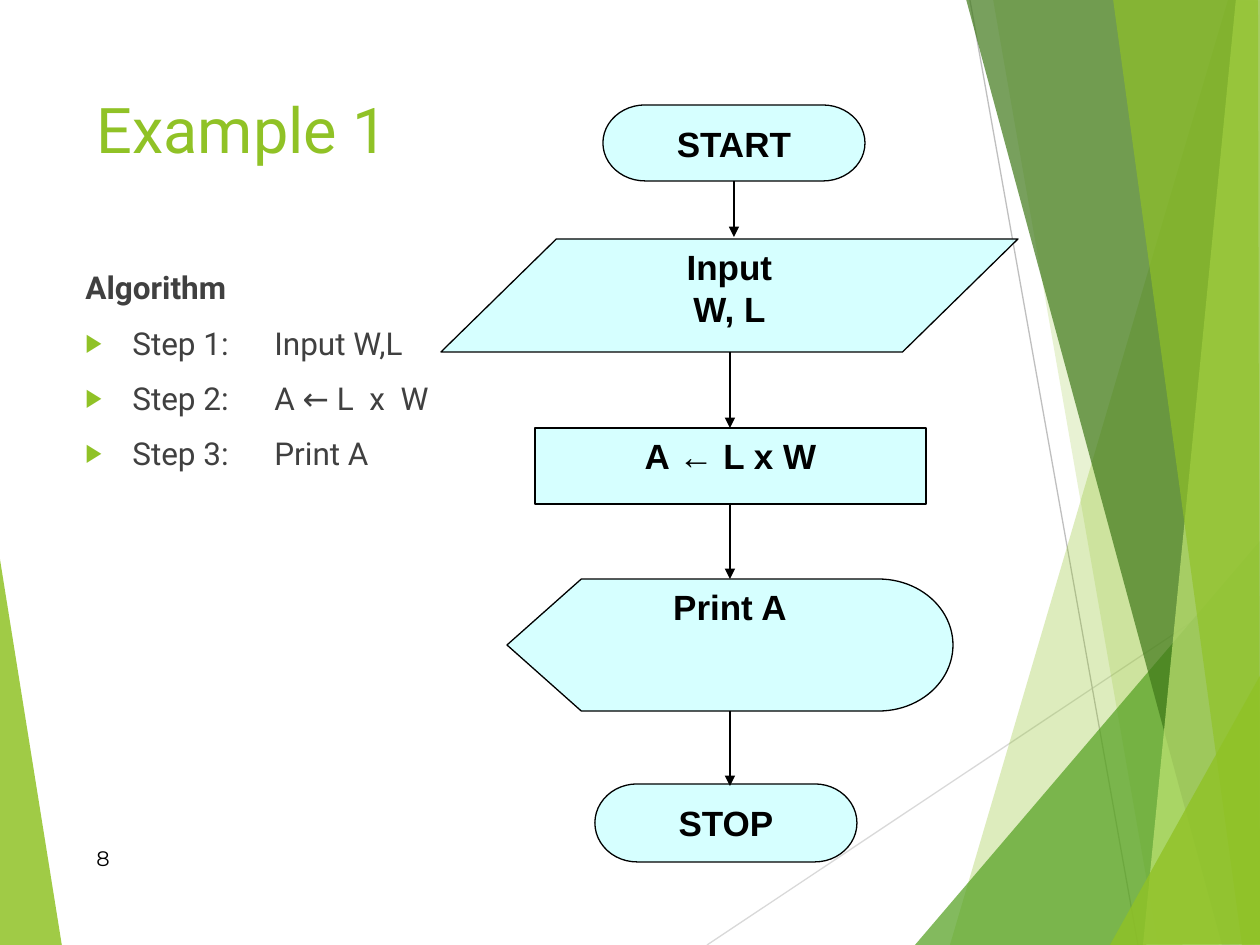
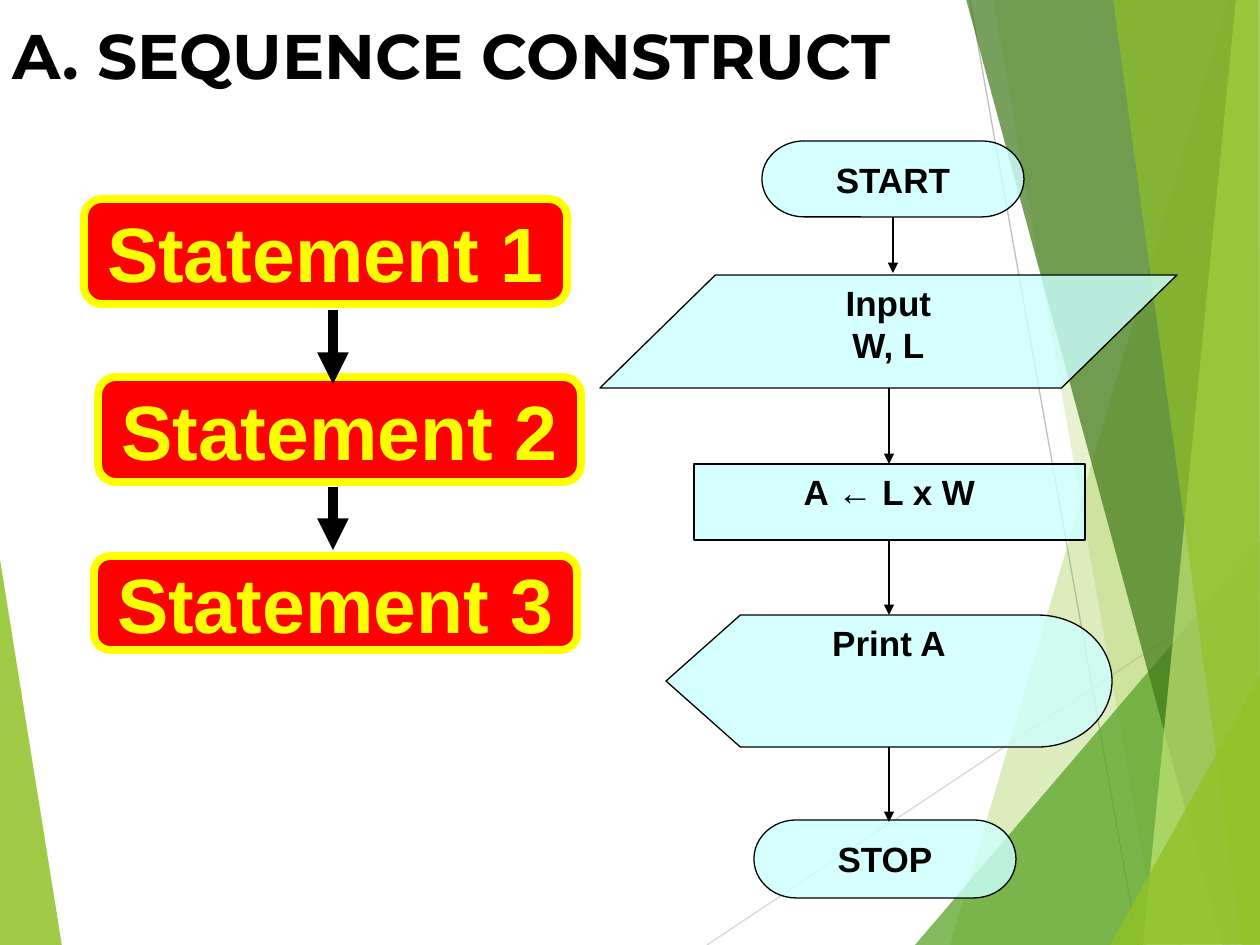
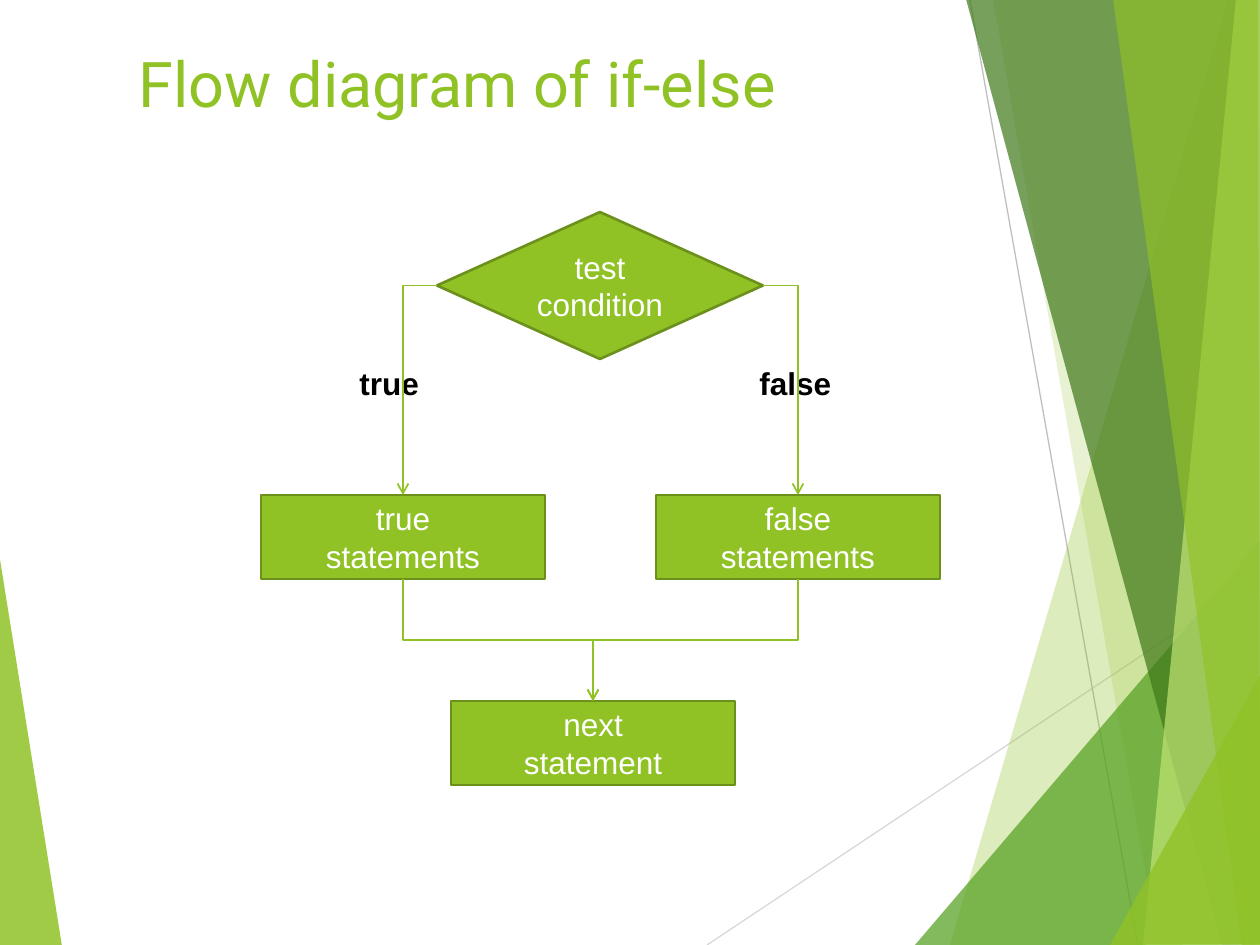
from lxml.etree import SubElement
from pptx import Presentation
from pptx.dml.color import RGBColor
from pptx.enum.shapes import MSO_CONNECTOR as LINK, MSO_SHAPE as SHAPE
from pptx.enum.text import MSO_ANCHOR as ANCHOR, MSO_AUTO_SIZE, PP_ALIGN as ALIGN
from pptx.oxml.ns import qn
from pptx.util import Emu, Pt

PX = 914400 / 126
WIDTH, HEIGHT = 1260, 945

BLACK = RGBColor(0x00, 0x00, 0x00)
WHITE = RGBColor(0xFF, 0xFF, 0xFF)
GREY = RGBColor(0x40, 0x40, 0x40)
SILVER = RGBColor(0xBF, 0xBF, 0xBF)
PALE_GREY = RGBColor(0xD9, 0xD9, 0xD9)
LIME = RGBColor(0x90, 0xC2, 0x26)
LIGHT_LIME = RGBColor(0xC0, 0xE4, 0x74)
OLIVE = RGBColor(0x6B, 0x90, 0x1C)
GREEN = RGBColor(0x54, 0xA0, 0x21)
DARK_GREEN = RGBColor(0x3F, 0x78, 0x19)
CYAN = RGBColor(0xCC, 0xFF, 0xFF)
RED = RGBColor(0xFF, 0x00, 0x00)
YELLOW = RGBColor(0xFF, 0xFF, 0x00)


def font_format(name, size, color, bold=False):
    return {"name": name, "size": Pt(size), "bold": bold, "color": color}


TITLE = font_format("Roboto", 36, LIME)
HEAVY_TITLE = font_format("Montserrat", 36, BLACK, True)
BODY = font_format("Roboto", 18, GREY)
BODY_HEAD = font_format("Roboto", 18, GREY, True)
NUMBER = font_format("Montserrat", 12, BLACK)
FLOW = font_format("Arial", 20, BLACK, True)
STATEMENT = font_format("Arial", 44, YELLOW, True)
BRANCH = font_format("Arial", 18, WHITE)
BRANCH_LABEL = font_format("Arial", 18, BLACK, True)

FLOW_BOX = {"fill": CYAN, "alpha": 80, "line": BLACK, "width": 0.75, "fmt": FLOW}
STATEMENT_BOX = {"fill": RED, "line": YELLOW, "width": 4.5, "fmt": STATEMENT,
                 "anchor": ANCHOR.MIDDLE, "wrap": False}
BRANCH_BOX = {"fill": LIME, "line": OLIVE, "width": 1.5, "fmt": BRANCH,
              "anchor": ANCHOR.MIDDLE}

# Polygons of the backdrop: colour, opacity in percent, corners
FACETS = [
    (LIME, 85, [(-1, 553), (62, 946), (-1, 945)]),
    (LIME, 30, [(1228, 0), (950, 945), (1262, 946), (1261, 1)]),
    (LIME, 20, [(993, -1), (1158, 945), (1261, 945), (1261, -1)]),
    (GREEN, 72, [(915, 945), (1260, 541), (1261, 945)]),
    (DARK_GREEN, 70, [(966, -1), (1222, 945), (1261, 944), (1261, -1)]),
    (LIGHT_LIME, 70, [(1236, -1), (1143, 945), (1261, 945), (1260, -1)]),
    (LIME, 65, [(1113, -1), (1242, 945), (1260, 945), (1258, -1)]),
    (LIME, 80, [(1110, 945), (1261, 674), (1261, 944)]),
]


def px(*lengths):
    return [Emu(round(n * PX)) for n in lengths]


def write(p, text, fmt):
    """Write text as runs; an assignment arrow is never bold."""
    for part in text.partition("←"):
        if not part:
            continue
        r = p.add_run()
        r.text = part
        for key, value in fmt.items():
            if key == "color":
                r.font.color.rgb = value
            else:
                setattr(r.font, key, value)
        if part == "←":
            r.font.bold = False


def set_frame(tf, anchor=ANCHOR.TOP, wrap=True):
    values = {"auto_size": MSO_AUTO_SIZE.NONE, "vertical_anchor": anchor, "word_wrap": wrap}
    for key, value in values.items():
        setattr(tf, key, value)


def fill_shape(sp, color, alpha=100):
    sp.shadow.inherit = False
    sp.fill.solid()
    sp.fill.fore_color.rgb = color
    if alpha < 100:
        rgb = sp.element.spPr.find(qn("a:solidFill")).find(qn("a:srgbClr"))
        SubElement(rgb, qn("a:alpha"), val=str(alpha * 1000))


def add_box(shapes, kind, box, text, fill, line, width, fmt,
            alpha=100, anchor=ANCHOR.TOP, wrap=True):
    sp = shapes.add_shape(kind, *px(*box))
    fill_shape(sp, fill, alpha)
    sp.line.color.rgb = line
    sp.line.width = Pt(width)
    set_frame(sp.text_frame, anchor, wrap)
    for i, row in enumerate(text.split("\n")):
        p = sp.text_frame.add_paragraph() if i else sp.text_frame.paragraphs[0]
        p.alignment = ALIGN.CENTER
        write(p, row, fmt)
    return sp


def add_text(shapes, box, text, fmt, anchor=ANCHOR.TOP):
    tf = shapes.add_textbox(*px(*box)).text_frame
    set_frame(tf, anchor)
    write(tf.paragraphs[0], text, fmt)


def add_line(shapes, ends, color=BLACK, width=0.75, head=None, kind=LINK.STRAIGHT):
    c = shapes.add_connector(kind, *px(*ends))
    c.line.color.rgb = color
    c.line.width = Pt(width)
    sp_pr = c.element.spPr
    if head:
        SubElement(sp_pr.find(qn("a:ln")), qn("a:tailEnd"), type=head)
    SubElement(sp_pr, qn("a:effectLst"))
    return c


def add_corner(shapes, ends):
    """Arrow that runs sideways, then down."""
    c = add_line(shapes, ends, LIME, 1, "arrow", LINK.ELBOW)
    c.element.spPr.find(qn("a:prstGeom")).set("prst", "bentConnector2")


def add_merge(shapes, x1, y1, x2, y2):
    """Arrow that runs down, sideways and down again."""
    cx, cy = (x1 + x2) / 2, (y1 + y2) / 2
    half_w, half_h = (y2 - y1) / 2, abs(x2 - x1) / 2
    if x1 < x2:
        half_w = -half_w
    ends = cx - half_w, cy - half_h, cx + half_w, cy + half_h
    c = add_line(shapes, ends, LIME, 1, "arrow", LINK.ELBOW)
    angle = 270 if x1 < x2 else 90
    c.element.spPr.find(qn("a:xfrm")).set("rot", str(angle * 60000))


def build_backdrop(s, layout):
    """Draw the facets once and hand them to the layout."""
    for ph in list(layout.placeholders):
        if ph.placeholder_format.idx:
            layout.shapes.element.remove(ph.element)
    group = s.shapes.add_group_shape()
    for i, (color, alpha, corners) in enumerate(FACETS):
        outline = group.shapes.build_freeform(*corners[0], scale=PX)
        outline.add_line_segments(corners[1:], close=True)
        sp = outline.convert_to_shape()
        fill_shape(sp, color, alpha)
        sp.line.fill.background()
        if i == 0:
            add_line(group.shapes, (707, 945, 1261, 576), PALE_GREY)
            add_line(group.shapes, (970, 0, 1138, 945), SILVER)
    layout.shapes.element.insert(2, group.element)


def set_title(s, box, text, fmt):
    title = s.shapes.title
    for key, value in zip(("left", "top", "width", "height"), px(*box)):
        setattr(title, key, value)
    set_frame(title.text_frame)
    p = title.text_frame.paragraphs[0]
    p.alignment = ALIGN.LEFT
    write(p, text, fmt)


def build_algorithm(s, box, heading, steps):
    tf = s.shapes.add_textbox(*px(*box)).text_frame
    set_frame(tf)
    write(tf.paragraphs[0], heading, BODY_HEAD)
    indent, tab = px(47, 63)
    for step in steps:
        p = tf.add_paragraph()
        p.space_before = Pt(10)
        write(p, step, BODY)
        p_pr = p._p.get_or_add_pPr()
        for key, value in {"marL": indent, "indent": -indent, "defTabSz": tab}.items():
            p_pr.set(key, str(int(value)))
        SubElement(SubElement(p_pr, qn("a:buClr")), qn("a:srgbClr"), val=str(LIME))
        SubElement(p_pr, qn("a:buSzPct"), val="80000")
        SubElement(p_pr, qn("a:buFont"), typeface="Arial")
        SubElement(p_pr, qn("a:buChar"), char="▶")


def build_area_flow(s, x, y):
    """Flowchart of the rectangle area, with its top left corner at x, y."""
    for kind, dx, dy, w, h, text in [
        (SHAPE.FLOWCHART_TERMINATOR, 162, 0, 262, 76, "START"),
        (SHAPE.FLOWCHART_DATA, 0, 134, 577, 113, "Input\nW, L"),
        (SHAPE.FLOWCHART_PROCESS, 94, 323, 391, 76, "A ← L x W"),
        (SHAPE.FLOWCHART_DISPLAY, 66, 474, 446, 132, "Print A"),
        (SHAPE.FLOWCHART_TERMINATOR, 154, 679, 262, 78, "STOP"),
    ]:
        add_box(s.shapes, kind, (x + dx, y + dy, w, h), text, **FLOW_BOX)
    for dx, top, bottom in [(293, 76, 132), (289, 247, 323), (289, 398, 474), (289, 606, 681)]:
        add_line(s.shapes, (x + dx, y + top, x + dx, y + bottom), head="triangle")


def build_statements(s, x, y):
    for i, (dx, dy, h) in enumerate([(0, 0, 105), (14, 178, 105), (10, 357, 94)], 1):
        sp = add_box(s.shapes, SHAPE.ROUNDED_RECTANGLE, (x + dx, y + dy, 483, h),
                     f"Statement {i}", **STATEMENT_BOX)
        sp.adjustments[0] = 0.17
    for top, bottom in [(111, 185), (288, 351)]:
        add_line(s.shapes, (x + 249, y + top, x + 249, y + bottom), width=6, head="triangle")


def build_if_else(s, x, y):
    w, h = 284, 84
    left, right, middle = x, x + 395, x + 190
    branch_y, next_y = y + 283, y + 489
    test_x, test_w, test_h = x + 176, 326, 147
    add_box(s.shapes, SHAPE.FLOWCHART_DECISION, (test_x, y, test_w, test_h),
            "test condition", **BRANCH_BOX)
    for bx, by, text in [(left, branch_y, "true\nstatements"),
                         (right, branch_y, "false\nstatements"),
                         (middle, next_y, "next\nstatement")]:
        add_box(s.shapes, SHAPE.FLOWCHART_PROCESS, (bx, by, w, h), text, **BRANCH_BOX)
    for dx, label_w, text in [(86, 102, "true"), (486, 121, "false")]:
        add_text(s.shapes, (x + dx, y + 146, label_w, 89), text, BRANCH_LABEL)
    for start_x, bx in [(test_x, left), (test_x + test_w, right)]:
        center = bx + w / 2
        add_corner(s.shapes, (start_x, y + test_h / 2, center, branch_y))
        add_merge(s.shapes, center, branch_y + h, middle + w / 2, next_y)


def main():
    prs = Presentation()
    prs.slide_width, prs.slide_height = px(WIDTH, HEIGHT)
    layout = prs.slide_layouts[5]

    s = prs.slides.add_slide(layout)
    build_backdrop(s, layout)
    set_title(s, (84, 84, 874, 181), "Example 1", TITLE)
    build_algorithm(s, (73, 262, 1134, 536), "Algorithm",
                    ["Step 1: \tInput W,L", "Step 2: \tA ← L  x  W", "Step 3: \tPrint A"])
    build_area_flow(s, 441, 105)
    add_text(s.shapes, (84, 833, 638, 50), "8", NUMBER, ANCHOR.MIDDLE)

    s = prs.slides.add_slide(layout)
    set_title(s, (0, 10, 1071, 158), "A. SEQUENCE CONSTRUCT", HEAVY_TITLE)
    build_statements(s, 84, 199)
    build_area_flow(s, 600, 141)

    s = prs.slides.add_slide(layout)
    set_title(s, (126, 38, 1071, 110), "Flow diagram of if-else", TITLE)
    build_if_else(s, 261, 212)

    prs.save("out.pptx")


if __name__ == "__main__":
    main()
